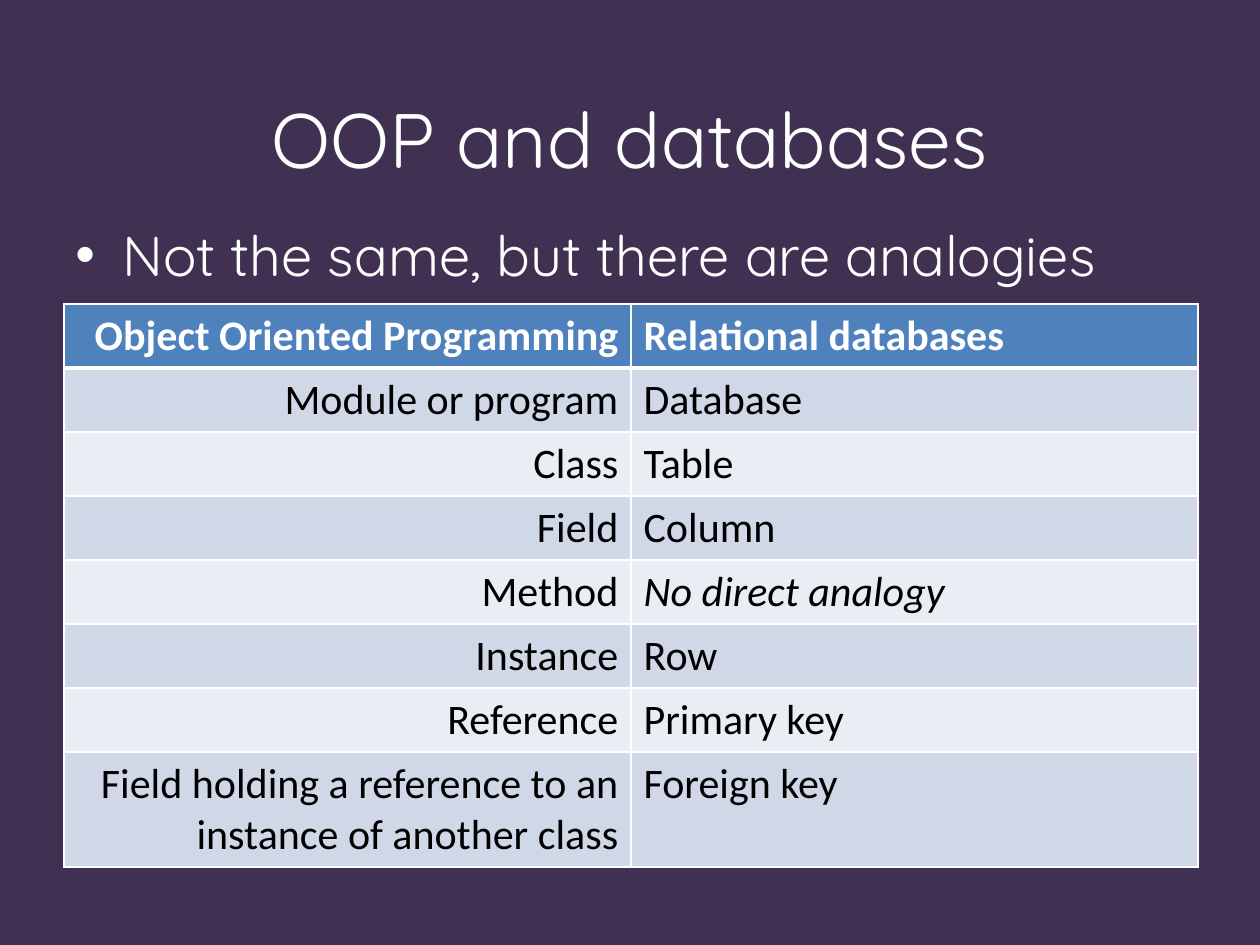
"""Build a slide that compares object oriented programming with databases."""
from lxml import etree
from pptx import Presentation
from pptx import util as u
from pptx.dml.color import RGBColor
from pptx.enum import text
from pptx.oxml import ns

SCALE = 914400 / 126
COLORS = {
    "background": "403152",
    "light": "FFFFFF",
    "dark": "000000",
    "header": "4F81BD",
    "odd": "D0D8E8",
    "even": "E9EDF4",
}
HEADING_FONT = "Quicksand"
TABLE_FONT = "Calibri"
ANALOGIES = [
    ("Object Oriented Programming", "Relational databases"),
    ("Module or program", "Database"),
    ("Class", "Table"),
    ("Field", "Column"),
    ("Method", "No direct analogy"),
    ("Instance", "Row"),
    ("Reference", "Primary key"),
    ("Field holding a reference to an instance of another class", "Foreign key"),
]
ROW_HEIGHT, LAST_ROW_HEIGHT, COLUMN_WIDTH = 64, 115, 567


def px(length):
    return u.Emu(round(length * SCALE))


def color(name):
    return RGBColor.from_string(COLORS[name])


def set_font(paragraph, name, size, color_name):
    font = paragraph.font
    font.name = name
    font.size = u.Pt(size)
    font.color.rgb = color(color_name)


def add_text(slide, box, words, size, anchor):
    shape = slide.shapes.add_textbox(*map(px, box))
    frame = shape.text_frame
    frame.word_wrap = True
    frame.vertical_anchor = anchor
    paragraph = frame.paragraphs[0]
    paragraph.text = words
    set_font(paragraph, HEADING_FONT, size, "light")
    return paragraph


def add_bullet(slide, box, words, size, indent):
    paragraph = add_text(slide, box, words, size, text.MSO_ANCHOR.TOP)
    properties = paragraph._p.get_or_add_pPr()
    properties.set("marL", str(px(indent)))
    properties.set("indent", str(-px(indent)))
    font = etree.Element(ns.qn("a:buFont"), typeface="Arial")
    bullet = etree.Element(ns.qn("a:buChar"), char="•")
    properties.insert(0, font)
    properties.insert(1, bullet)


def add_border(cell, side, width):
    line = etree.SubElement(
        cell._tc.get_or_add_tcPr(), ns.qn(f"a:ln{side}"), w=str(u.Pt(width))
    )
    fill = etree.SubElement(line, ns.qn("a:solidFill"))
    etree.SubElement(fill, ns.qn("a:srgbClr"), val=COLORS["light"])


def fill_cell(cell, words, row, column):
    is_header = row == 0
    widths = {"L": 1, "R": 1, "T": 3 if row == 1 else 1, "B": 3 if is_header else 1}
    for side, width in widths.items():
        add_border(cell, side, width)
    cell.fill.solid()
    cell.fill.fore_color.rgb = color(
        "header" if is_header else "odd" if row % 2 else "even"
    )
    cell.text = words
    paragraph = cell.text_frame.paragraphs[0]
    paragraph.alignment = text.PP_ALIGN.LEFT if column else text.PP_ALIGN.RIGHT
    set_font(paragraph, TABLE_FONT, 24, "light" if is_header else "dark")
    paragraph.font.bold = is_header
    paragraph.font.italic = words == "No direct analogy"


def add_analogy_table(slide, left, top):
    heights = [ROW_HEIGHT] * (len(ANALOGIES) - 1) + [LAST_ROW_HEIGHT]
    box = (left, top, 2 * COLUMN_WIDTH, sum(heights))
    table = slide.shapes.add_table(len(ANALOGIES), 2, *map(px, box)).table
    for column in table.columns:
        column.width = px(COLUMN_WIDTH)
    for row, (height, analogy) in enumerate(zip(heights, ANALOGIES)):
        table.rows[row].height = px(height)
        for column, words in enumerate(analogy):
            fill_cell(table.cell(row, column), words, row, column)


def main():
    presentation = Presentation()
    presentation.slide_width, presentation.slide_height = px(1260), px(945)
    slide = presentation.slides.add_slide(presentation.slide_layouts[6])
    slide.background.fill.solid()
    slide.background.fill.fore_color.rgb = color("background")
    title = add_text(
        slide, (63, 59, 1134, 158), "OOP and databases", 44, text.MSO_ANCHOR.MIDDLE
    )
    title.alignment = text.PP_ALIGN.CENTER
    add_analogy_table(slide, 64, 304)
    add_bullet(
        slide, (63, 214, 1134, 118), "Not the same, but there are analogies", 32, 47
    )
    presentation.save("out.pptx")


if __name__ == "__main__":
    main()
